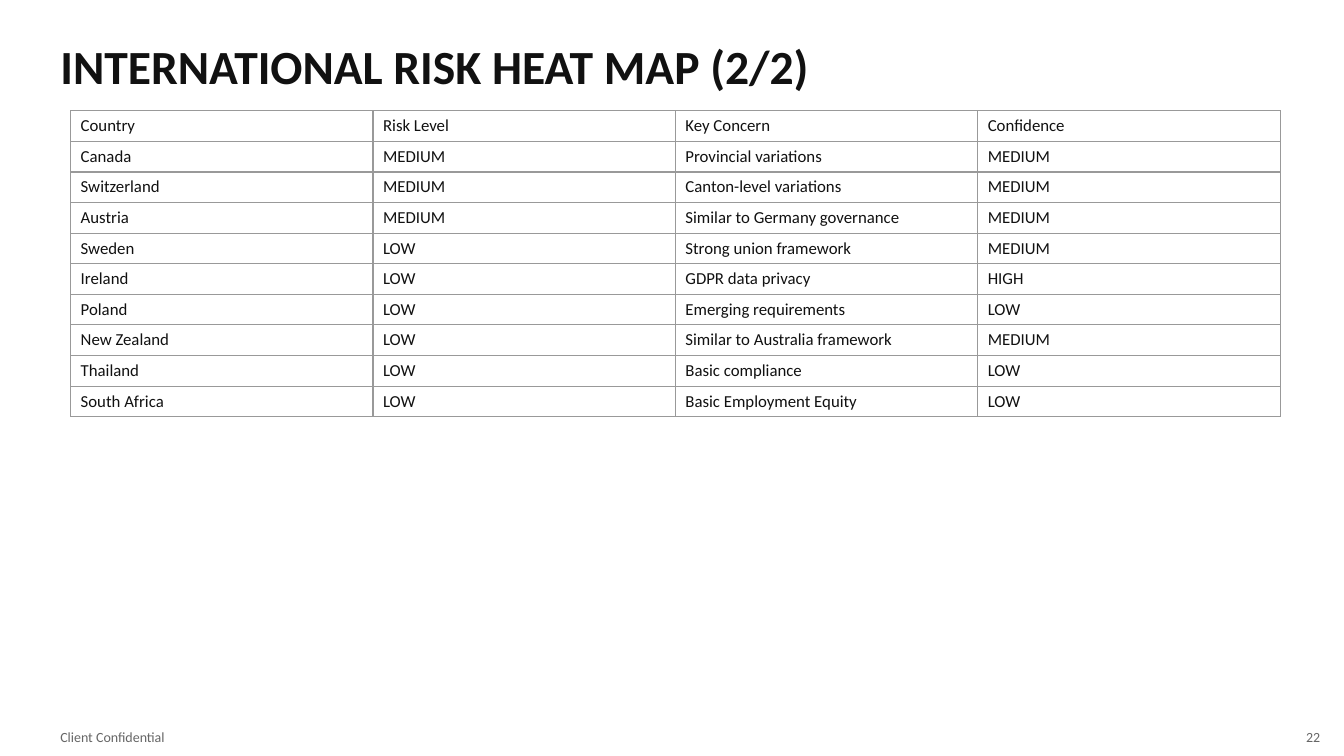
"""Build the international risk heat map slide."""
from lxml.etree import SubElement
from pptx import Presentation
from pptx.dml.color import RGBColor
from pptx.enum.text import MSO_ANCHOR, MSO_AUTO_SIZE, PP_ALIGN
from pptx.oxml.ns import qn
from pptx.util import Cm, Pt

TITLE = "INTERNATIONAL RISK HEAT MAP (2/2)"
RISKS = [
    ("Country", "Risk Level", "Key Concern", "Confidence"),
    ("Canada", "MEDIUM", "Provincial variations", "MEDIUM"),
    ("Switzerland", "MEDIUM", "Canton-level variations", "MEDIUM"),
    ("Austria", "MEDIUM", "Similar to Germany governance", "MEDIUM"),
    ("Sweden", "LOW", "Strong union framework", "MEDIUM"),
    ("Ireland", "LOW", "GDPR data privacy", "HIGH"),
    ("Poland", "LOW", "Emerging requirements", "LOW"),
    ("New Zealand", "LOW", "Similar to Australia framework", "MEDIUM"),
    ("Thailand", "LOW", "Basic compliance", "LOW"),
    ("South Africa", "LOW", "Basic Employment Equity", "LOW"),
]
FOOTERS = [
    ("Client Confidential", 1.27, 15.24, PP_ALIGN.LEFT),
    ("22", 32.0, 1.52, PP_ALIGN.RIGHT),
]
FOOTER_TOP, FOOTER_HEIGHT = 18.24, 0.64
TITLE_BOX = (1.27, 0.76, 31.75, 1.78)
TABLE_LEFT, TABLE_TOP = 1.78, 2.79
COLUMN_WIDTH, ROW_HEIGHT = 7.62, 0.57
BORDER_COLOR, CELL_COLOR = "999999", "FFFFFF"

TITLE_FONT = {"name": "Calibri", "size": Pt(34), "bold": True, "color": "111111"}
CELL_FONT = {"name": "Calibri", "size": Pt(12), "bold": False, "color": "111111"}
FOOTER_FONT = {"name": "Calibri", "size": Pt(10), "color": "666666"}
FRAME_FORMAT = {
    "word_wrap": True,
    "auto_size": MSO_AUTO_SIZE.NONE,
    "vertical_anchor": MSO_ANCHOR.MIDDLE,
}


def color(hex_value):
    return RGBColor.from_string(hex_value)


def write(text_frame, text, font_format, alignment=PP_ALIGN.LEFT):
    text_frame.text = text
    paragraph = text_frame.paragraphs[0]
    paragraph.alignment = alignment
    font = paragraph.runs[0].font
    for name, value in font_format.items():
        if name == "color":
            font.color.rgb = color(value)
        else:
            setattr(font, name, value)


def write_box(shape, text, font_format, alignment=PP_ALIGN.LEFT):
    for name, value in FRAME_FORMAT.items():
        setattr(shape.text_frame, name, value)
    write(shape.text_frame, text, font_format, alignment)


def add_borders(cell):
    properties = cell._tc.get_or_add_tcPr()
    for side in ("a:lnL", "a:lnR", "a:lnT", "a:lnB"):
        line = SubElement(properties, qn(side), w=str(Pt(1)))
        fill = SubElement(line, qn("a:solidFill"))
        SubElement(fill, qn("a:srgbClr"), val=BORDER_COLOR)


def add_title(slide):
    title = slide.shapes.title
    for name, value in zip(("left", "top", "width", "height"), TITLE_BOX):
        setattr(title, name, Cm(value))
    write_box(title, TITLE, TITLE_FONT)


def add_risk_table(slide):
    row_count, column_count = len(RISKS), len(RISKS[0])
    table = slide.shapes.add_table(
        row_count, column_count, Cm(TABLE_LEFT), Cm(TABLE_TOP),
        Cm(COLUMN_WIDTH * column_count), Cm(ROW_HEIGHT * row_count),
    ).table
    table.first_row = table.horz_banding = False
    for row_index, values in enumerate(RISKS):
        for column_index, value in enumerate(values):
            cell = table.cell(row_index, column_index)
            add_borders(cell)
            cell.fill.solid()
            cell.fill.fore_color.rgb = color(CELL_COLOR)
            write(cell.text_frame, value, CELL_FONT)


def add_footers(slide):
    for text, left, width, alignment in FOOTERS:
        footer = slide.shapes.add_textbox(
            Cm(left), Cm(FOOTER_TOP), Cm(width), Cm(FOOTER_HEIGHT))
        write_box(footer, text, FOOTER_FONT, alignment)


def main():
    presentation = Presentation()
    presentation.slide_width, presentation.slide_height = Cm(33.87), Cm(19.05)
    slide = presentation.slides.add_slide(presentation.slide_layouts[5])
    add_title(slide)
    add_footers(slide)
    add_risk_table(slide)
    presentation.save("out.pptx")


if __name__ == "__main__":
    main()
